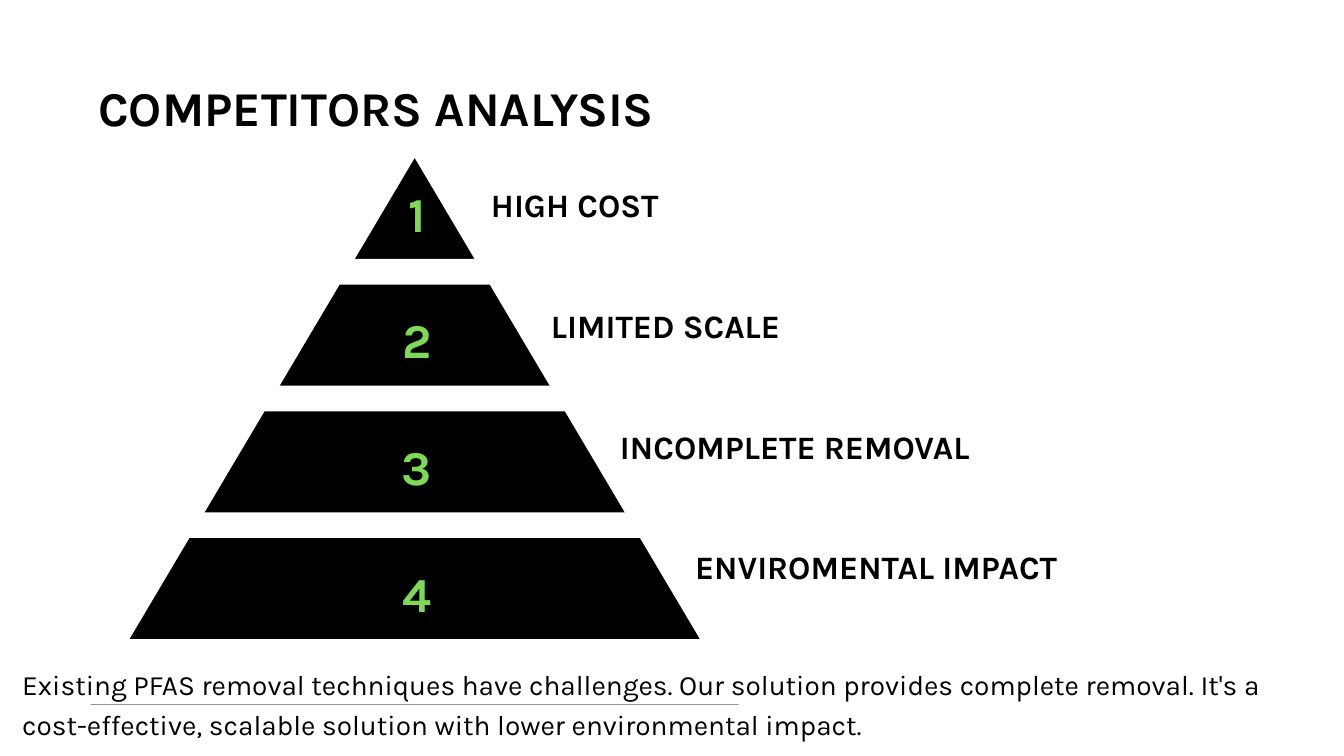
from dataclasses import dataclass

from lxml import etree
from pptx import Presentation
from pptx import util as u
from pptx.dml.color import RGBColor
from pptx.enum import shapes, text
from pptx.oxml import ns


@dataclass(frozen=True)
class Theme:
    font: str = "Karla"
    ink: RGBColor = RGBColor(0x00, 0x00, 0x00)
    paper: RGBColor = RGBColor(0xFF, 0xFF, 0xFF)
    accent: RGBColor = RGBColor(0x7E, 0xD9, 0x57)
    title: int = 52
    number: int = 52
    label: int = 35
    body: int = 30
    leading: float = 1.4


class SlideBuilder:
    def __init__(self, slide, theme):
        self.slide = slide
        self.theme = theme

    def place(self, shape, area):
        for name, value in zip(("left", "top", "width", "height"), area):
            setattr(shape, name, u.Cm(value))

    def set_text(self, shape, words, size, color=None, bold=True, align=text.PP_ALIGN.CENTER):
        frame = shape.text_frame
        frame_format = dict(
            margin_left=0, margin_top=0, margin_right=0, margin_bottom=0,
            word_wrap=True, auto_size=text.MSO_AUTO_SIZE.NONE,
            vertical_anchor=text.MSO_ANCHOR.TOP,
        )
        for name, value in frame_format.items():
            setattr(frame, name, value)
        para = frame.paragraphs[0]
        para_format = dict(
            alignment=align, space_before=u.Pt(0),
            line_spacing=u.Pt(round(size * self.theme.leading, 1)),
        )
        for name, value in para_format.items():
            setattr(para, name, value)
        span = para.add_run()
        span.text = words
        for name, value in dict(name=self.theme.font, size=u.Pt(size), bold=bold).items():
            setattr(span.font, name, value)
        span.font.color.rgb = color or self.theme.ink
        return para

    def title(self, words, area):
        box = self.slide.shapes.title
        self.place(box, area)
        self.set_text(box, words, self.theme.title)

    def body(self, words, area):
        box = self.slide.placeholders[1]
        self.place(box, area)
        para = self.set_text(box, words, self.theme.body, bold=False, align=text.PP_ALIGN.LEFT)
        # Plain paragraph: no bullet, no hanging indent
        props = para._p.get_or_add_pPr()
        props.set("marL", "0")
        props.set("indent", "0")
        spacing = props.find(ns.qn("a:spcBef"))
        spacing.addnext(etree.Element(ns.qn("a:buNone")))
        # In front of the pyramid's lowest strip
        self.slide.shapes.element.append(box.element)

    def text_box(self, words, area, size, color=None):
        box = self.slide.shapes.add_textbox(*map(u.Cm, area))
        self.set_text(box, words, size, color)

    def block(self, kind, area, color):
        shape = self.slide.shapes.add_shape(kind, *map(u.Cm, area))
        shape.shadow.inherit = False
        shape.fill.solid()
        shape.fill.fore_color.rgb = color
        shape.line.fill.background()


# Label, label left and width, number width, left and height of the strip below
TIERS = [
    ("HIGH COST", 18.06, 7.34, 1.07, 2.84, 0.97),
    ("LIMITED SCALE", 20.27, 9.78, 1.14, 4.57, 0.97),
    ("INCOMPLETE REMOVAL", 22.63, 14.83, 1.19, 3.43, 0.97),
    ("ENVIROMENTAL IMPACT", 25.4, 15.44, 1.27, 3.43, 2.47),
]
TIER_STEP, LABEL_STEP = 4.79, 4.56
NUMBER_CENTER, STRIP_WIDTH = 15.75, 29.83


def main():
    deck = Presentation()
    deck.slide_width, deck.slide_height = u.Cm(50.8), u.Cm(28.58)
    theme = Theme()
    page = SlideBuilder(deck.slides.add_slide(deck.slide_layouts[1]), theme)

    page.title("COMPETITORS ANALYSIS ", (2.84, 2.59, 23.22, 2.46))

    # Pyramid, cut into tiers by strips
    kinds = shapes.MSO_SHAPE
    page.block(kinds.ISOSCELES_TRIANGLE, (3.43, 5.98, 24.49, 20.66), theme.ink)
    for row, (_, _, _, _, left, height) in enumerate(TIERS):
        area = (left, 9.79 + row * TIER_STEP, STRIP_WIDTH, height)
        page.block(kinds.RECTANGLE, area, theme.paper)

    # Tier numbers and labels
    for row, (label, left, width, number_width, _, _) in enumerate(TIERS):
        number_left = NUMBER_CENTER - number_width / 2
        page.text_box(str(row + 1), (number_left, 6.58 + row * TIER_STEP, number_width, 2.39),
                      theme.number, theme.accent)
        page.text_box(label, (left, 6.76 + row * LABEL_STEP, width, 1.75), theme.label)

    # Closing statement
    page.body(
        "Existing PFAS removal techniques have challenges. Our solution provides complete "
        "removal. It's a cost-effective, scalable solution with lower environmental impact.",
        (0.84, 25.04, 49.1, 2.92),
    )
    deck.save("out.pptx")


if __name__ == "__main__":
    main()
